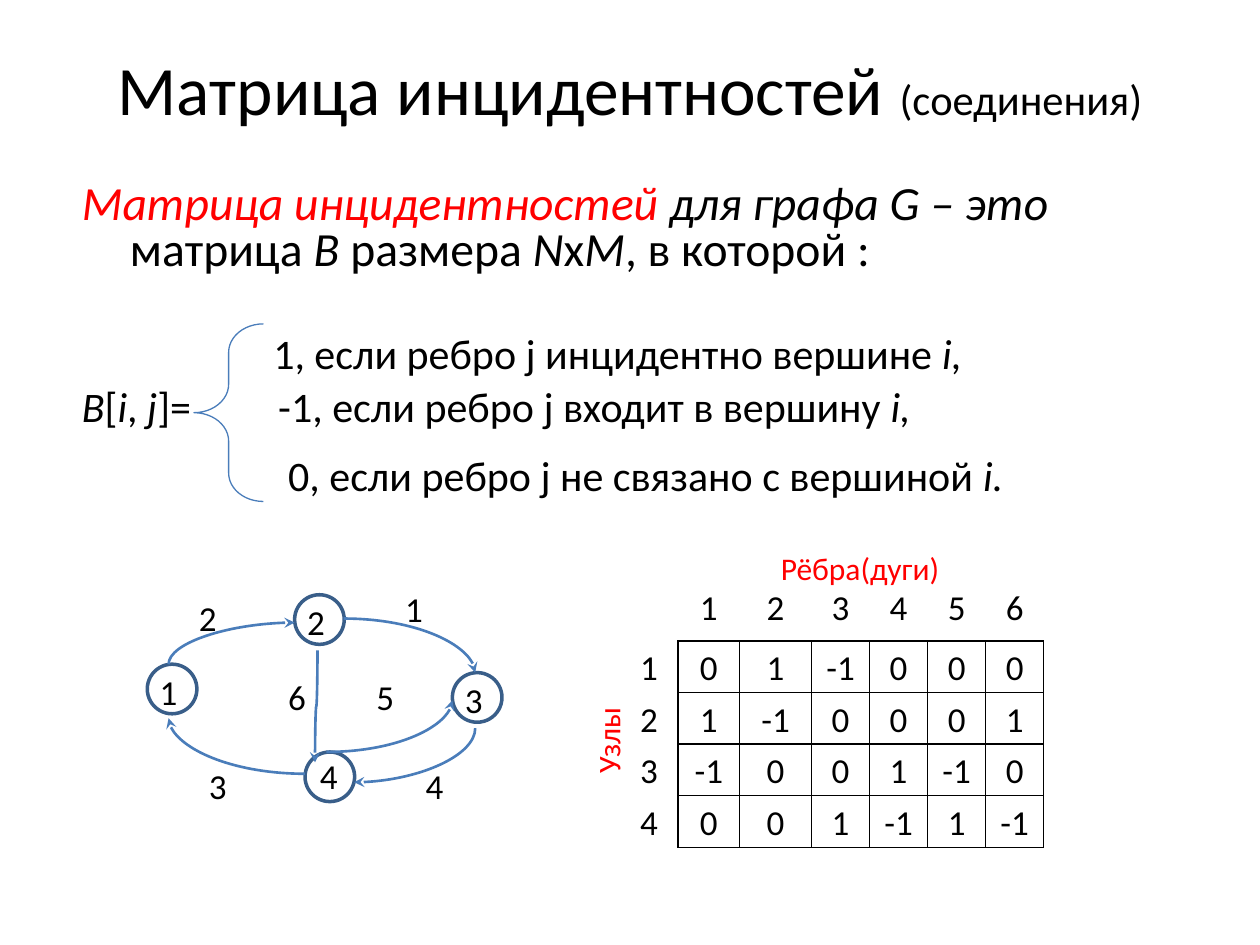
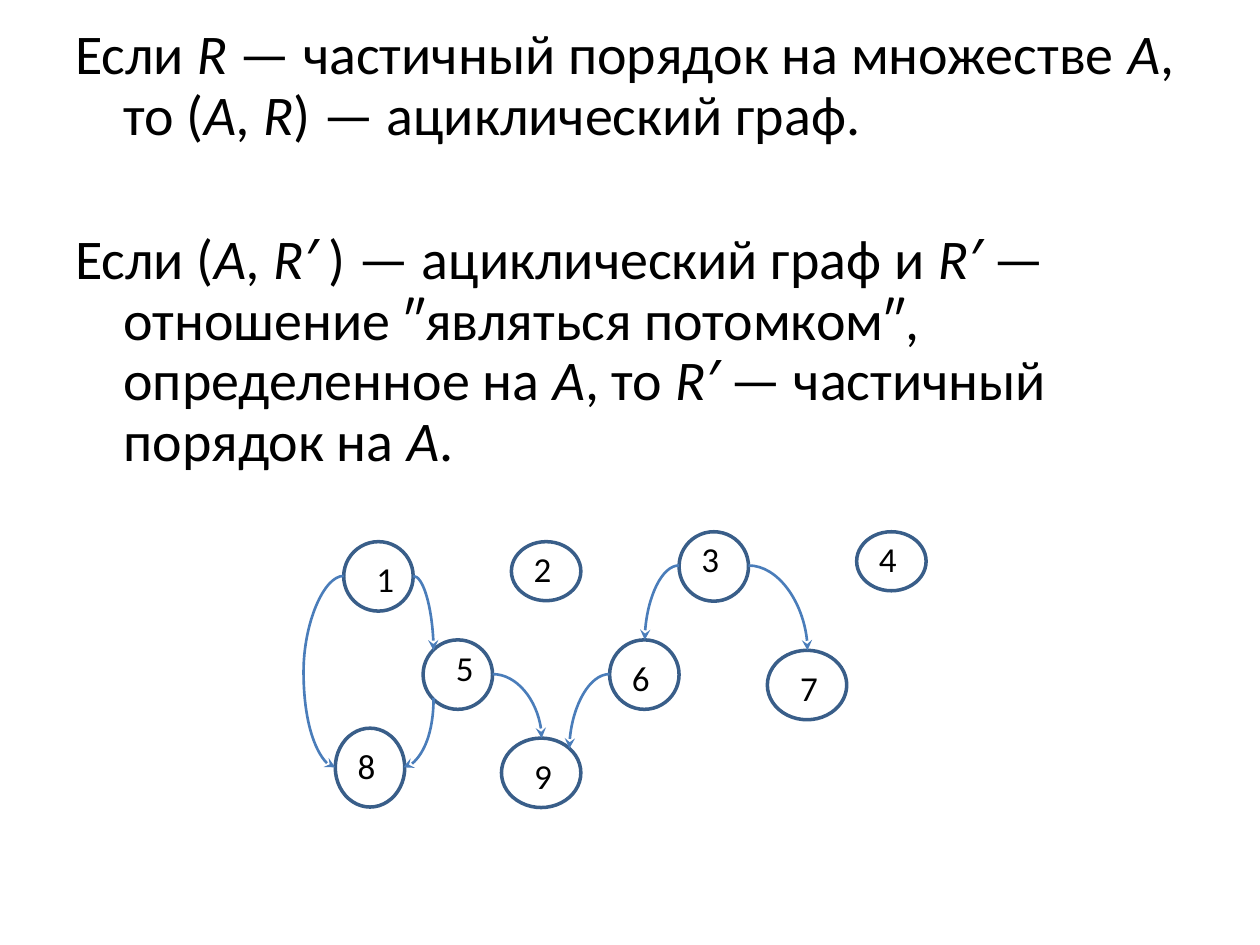
from lxml import etree
from pptx import Presentation
from pptx.dml.color import RGBColor
from pptx.enum.shapes import MSO_CONNECTOR, MSO_SHAPE
from pptx.enum.text import MSO_ANCHOR, PP_ALIGN
from pptx.oxml.ns import qn
from pptx.util import Cm, Pt

CURVE = MSO_CONNECTOR.CURVE
OVAL, LEFT_BRACE = MSO_SHAPE.OVAL, MSO_SHAPE.LEFT_BRACE
CENTER, LEFT = PP_ALIGN.CENTER, PP_ALIGN.LEFT
TOP, MIDDLE = MSO_ANCHOR.TOP, MSO_ANCHOR.MIDDLE

FONT = "Calibri"
COLORS = {"text": "000000", "accent": "FF0000", "edge": "4A7DBA", "node": "395E89"}
DIGIT_SIZE = 20
DIGIT_BOX = (0.86, 1.12)
HANGING = 0.97
ITALIC = {"italic": True}
RED = {"color": "accent"}

# All positions and sizes below are in centimetres.
# A run is (text,) or (text, style).
TITLE = [("Матрица инцидентностей ",), ("(соединения)", {"size": 24.3})]
DEFINITION = [
    ("Матрица инцидентностей ", {"italic": True, "color": "accent"}),
    ("для графа G – это ", ITALIC), ("матрица ",), ("B", ITALIC),
    (" размера ",), ("N", ITALIC), ("х",), ("M", ITALIC), (", в которой :",),
]
FORMULA = [  # box, runs
    ((1.4, 7.54, 2.97, 1.27),
     [("B", ITALIC), ("[",), ("i", ITALIC), (", ",), ("j", ITALIC), ("]=",)]),
    ((5.26, 6.48, 14.48, 1.27),
     [("1, если ребро j инцидентно вершине ",), ("i,", ITALIC)]),
    ((5.36, 7.54, 14.48, 1.27),
     [("-1, если ребро j входит в вершину ",), ("i,", ITALIC)]),
    ((5.56, 8.94, 16.46, 1.27),
     [("0, если ребро j не связано с вершиной ",), ("i.", ITALIC)]),
]
BRACE = (3.91, 6.53, 1.4, 3.58)

# Nodes: label, box, offset of the label from the box corner
INCIDENCE_NODES = [
    ("1", (2.97, 13.39, 1, 1), (0, 0)),
    ("2", (5.94, 11.99, 1, 1), (0, 0)),
    ("3", (9.12, 13.56, 1, 1), (0, 0)),
    ("4", (6.15, 15.16, 1, 1), (0.05, -0.07)),
]
# Edges: start, end, direction of departure, bend of an S-curve or None
INCIDENCE_EDGES = [
    ((3.4, 13.39), (5.94, 12.55), "vertical", None),
    ((9.58, 14.68), (7.14, 15.77), "vertical", None),
    ((6.4, 13.11), (6.35, 15.37), "vertical", 0.5),
    ((6.58, 15.16), (9.12, 14.12), "horizontal", None),
    ((6.15, 15.6), (3.4, 14.48), "horizontal", None),
    ((6.93, 12.47), (9.58, 13.56), "horizontal", None),
]
EDGE_LABELS = [
    ("1", 7.92, 11.71), ("2", 3.76, 11.91), ("3", 3.96, 15.29),
    ("4", 8.33, 15.29), ("5", 7.34, 13.49), ("6", 5.56, 13.49),
]

MATRIX = [
    [0, 1, -1, 0, 0, 0],
    [1, -1, 0, 0, 0, 1],
    [-1, 0, 0, 1, -1, 0],
    [0, 0, 1, -1, 1, -1],
]
MATRIX_CORNER = (12.5, 11.71)
MATRIX_COLUMNS = [1.17, 1.24, 1.45] + [1.17] * 4
MATRIX_ROWS = [1.21] + [1.04] * 4
AXIS_TITLES = [  # text, box, rotation
    ("Рёбра(дуги)", (15.49, 10.95, 3.73, 1.02), 0),
    ("Узлы", (11.33, 14.4, 1.85, 1.02), 270),
]

ORDER_THEOREMS = [
    [("Если ",), ("R", ITALIC), (" — частичный порядок на множестве ",),
     ("А", ITALIC), (", то (",), ("А, R", ITALIC), (") — ациклический граф.",)],
    [("Если (",), ("А, R′", ITALIC), (" ) — ациклический граф и ",), ("R′", ITALIC),
     (" — отношение ″являться потомком″, определенное на ",), ("А", ITALIC),
     (", то ",), ("R′", ITALIC), (" — частичный порядок на ",), ("А", ITALIC), (".",)],
]
ORDER_NODES = [
    ("1", (6.93, 10.92, 1.4, 1.4), (0.41, 0.2)),
    ("2", (10.31, 10.92, 1.4, 1.19), (0.2, 0)),
    ("3", (13.69, 10.72, 1.4, 1.4), (0.2, 0)),
    ("4", (17.27, 10.72, 1.4, 1.19), (0.2, 0)),
    ("5", (8.53, 12.9, 1.4, 1.4), (0.41, 0)),
    ("6", (12.29, 12.9, 1.4, 1.4), (0.2, 0.2)),
    ("7", (15.47, 13.11, 1.6, 1.4), (0.41, 0.2)),
    ("8", (6.76, 14.68, 1.4, 1.59), (0.2, 0.2)),
    ("9", (10.11, 14.88, 1.6, 1.4), (0.41, 0.2)),
]
ORDER_EDGES = [
    ((13.69, 11.4), (13, 12.9), "horizontal", None),
    ((12.29, 13.59), (11.48, 15.09), "horizontal", None),
    ((9.93, 13.59), (10.92, 14.88), "horizontal", None),
    ((8.74, 14.07), (8.13, 15.47), "vertical", None),
    ((6.93, 11.61), (6.76, 15.47), "horizontal", 4.76),
    ((8.33, 11.61), (8.74, 13.11), "horizontal", None),
    ((15.09, 11.4), (16.28, 13.11), "horizontal", None),
]


def rgb(name):
    return RGBColor.from_string(COLORS[name])


def lengths(values):
    return [Cm(value) for value in values]


def add_runs(paragraph, runs, size):
    for text, *styles in runs:
        style = styles[0] if styles else {}
        run = paragraph.add_run()
        run.text = text
        run.font.name = FONT
        run.font.size = Pt(style.get("size", size))
        run.font.italic = style.get("italic", False)
        run.font.color.rgb = rgb(style.get("color", "text"))


def add_text(slide, box, paragraphs, size, align=LEFT, anchor=TOP,
             hanging=0, line_spacing=1.0, gap=0):
    shape = slide.shapes.add_textbox(*lengths(box))
    frame = shape.text_frame
    frame.word_wrap = True
    frame.vertical_anchor = anchor
    for index, runs in enumerate(paragraphs):
        paragraph = frame.add_paragraph() if index else frame.paragraphs[0]
        paragraph.alignment = align
        paragraph.line_spacing = line_spacing
        paragraph.space_before = Pt(gap if index else 0)
        properties = paragraph._p.get_or_add_pPr()
        properties.set("marL", str(Cm(hanging)))
        properties.set("indent", str(-Cm(hanging)))
        add_runs(paragraph, runs, size)
    return shape


def add_outline(slide, preset, box, color, width):
    shape = slide.shapes.add_shape(preset, *lengths(box))
    shape.shadow.inherit = False
    shape.fill.background()
    shape.line.color.rgb = rgb(color)
    shape.line.width = Pt(width)
    return shape


def add_digit(slide, digit, left, top):
    add_text(slide, (left, top, *DIGIT_BOX), [[(digit,)]], DIGIT_SIZE)


def add_edge(slide, start, end, departure, bend):
    """Curved arrow; one leaving vertically is a quarter-turned horizontal one."""
    rotation = 0
    if departure == "vertical":
        center_x, center_y = (start[0] + end[0]) / 2, (start[1] + end[1]) / 2
        dx, dy = end[0] - start[0], end[1] - start[1]
        turn = 1 if dy > 0 else -1
        rotation = 90 if dy > 0 else 270
        start = (center_x - abs(dy) / 2, center_y + turn * dx / 2)
        end = (center_x + abs(dy) / 2, center_y - turn * dx / 2)
    edge = slide.shapes.add_connector(CURVE, *lengths(start + end))
    edge.line.color.rgb = rgb("edge")
    edge.line.width = Pt(1.5)
    properties = edge.element.spPr
    properties.find(qn("a:xfrm")).set("rot", str(rotation * 60000))
    geometry = properties.find(qn("a:prstGeom"))
    if bend is None:
        geometry.set("prst", "curvedConnector2")
    else:
        etree.SubElement(geometry.find(qn("a:avLst")), qn("a:gd"),
                         name="adj1", fmla=f"val {round(bend * 100000)}")
    etree.SubElement(properties.find(qn("a:ln")), qn("a:tailEnd"), type="stealth")
    etree.SubElement(properties, qn("a:effectLst"))


def add_graph(slide, nodes, edges):
    for label, box, (dx, dy) in nodes:
        add_outline(slide, OVAL, box, "node", 2)
        add_digit(slide, label, box[0] + dx, box[1] + dy)
    for edge in edges:
        add_edge(slide, *edge)


def set_borders(cell, visible):
    """Draw the sides named in visible (of L, R, T, B) and clear the others."""
    properties = cell._tc.get_or_add_tcPr()
    for side in "LRTB":
        line = etree.SubElement(properties, qn(f"a:ln{side}"), w=str(Pt(1)))
        if side in visible:
            fill = etree.SubElement(line, qn("a:solidFill"))
            etree.SubElement(fill, qn("a:srgbClr"), val=COLORS["text"])
        else:
            etree.SubElement(line, qn("a:noFill"))


def add_matrix(slide):
    header = [""] + [str(number + 1) for number in range(len(MATRIX[0]))]
    rows = [header] + [[number, *values] for number, values in enumerate(MATRIX, 1)]
    box = (*MATRIX_CORNER, sum(MATRIX_COLUMNS), sum(MATRIX_ROWS))
    table = slide.shapes.add_table(len(rows), len(header), *lengths(box)).table
    table.first_row = table.horz_banding = False
    for column, width in zip(table.columns, MATRIX_COLUMNS):
        column.width = Cm(width)
    for row, height in zip(table.rows, MATRIX_ROWS):
        row.height = Cm(height)
    for row_index, values in enumerate(rows):
        for column_index, value in enumerate(values):
            cell = table.cell(row_index, column_index)
            if row_index and column_index:
                set_borders(cell, "LRTB")
            elif row_index:
                set_borders(cell, "R")
            else:
                set_borders(cell, "B" if column_index else "")
            cell.fill.background()
            cell.margin_left = cell.margin_right = Cm(0.18)
            cell.margin_top = cell.margin_bottom = 0
            paragraph = cell.text_frame.paragraphs[0]
            paragraph.alignment = CENTER
            paragraph.line_spacing = 1.15
            if value != "":
                add_runs(paragraph, [(str(value),)], DIGIT_SIZE)


def build_incidence_slide(slide):
    add_text(slide, (1.27, 0.76, 22.86, 2.01), [TITLE], 39.6, CENTER, MIDDLE)
    add_text(slide, (1.4, 3.58, 22.86, 2.18), [DEFINITION], 27.2,
             hanging=HANGING, line_spacing=0.8)
    for box, runs in FORMULA:
        add_text(slide, box, [runs], 24)
    brace = add_outline(slide, LEFT_BRACE, BRACE, "edge", 0.75)
    brace.adjustments[0] = 0.41
    add_graph(slide, INCIDENCE_NODES, INCIDENCE_EDGES)
    for label in EDGE_LABELS:
        add_digit(slide, *label)
    add_matrix(slide)
    for text, box, rotation in AXIS_TITLES:
        add_text(slide, box, [[(text, RED)]], 18).rotation = rotation


def build_order_slide(slide):
    add_text(slide, (1.27, 0.41, 22.86, 9.93), ORDER_THEOREMS, 32,
             hanging=HANGING, line_spacing=0.9, gap=48)
    add_graph(slide, ORDER_NODES, ORDER_EDGES)


def main():
    presentation = Presentation()
    presentation.slide_width, presentation.slide_height = Cm(25.4), Cm(19.05)
    blank = presentation.slide_layouts[6]
    for build in (build_incidence_slide, build_order_slide):
        build(presentation.slides.add_slide(blank))
    presentation.save("out.pptx")


if __name__ == "__main__":
    main()
